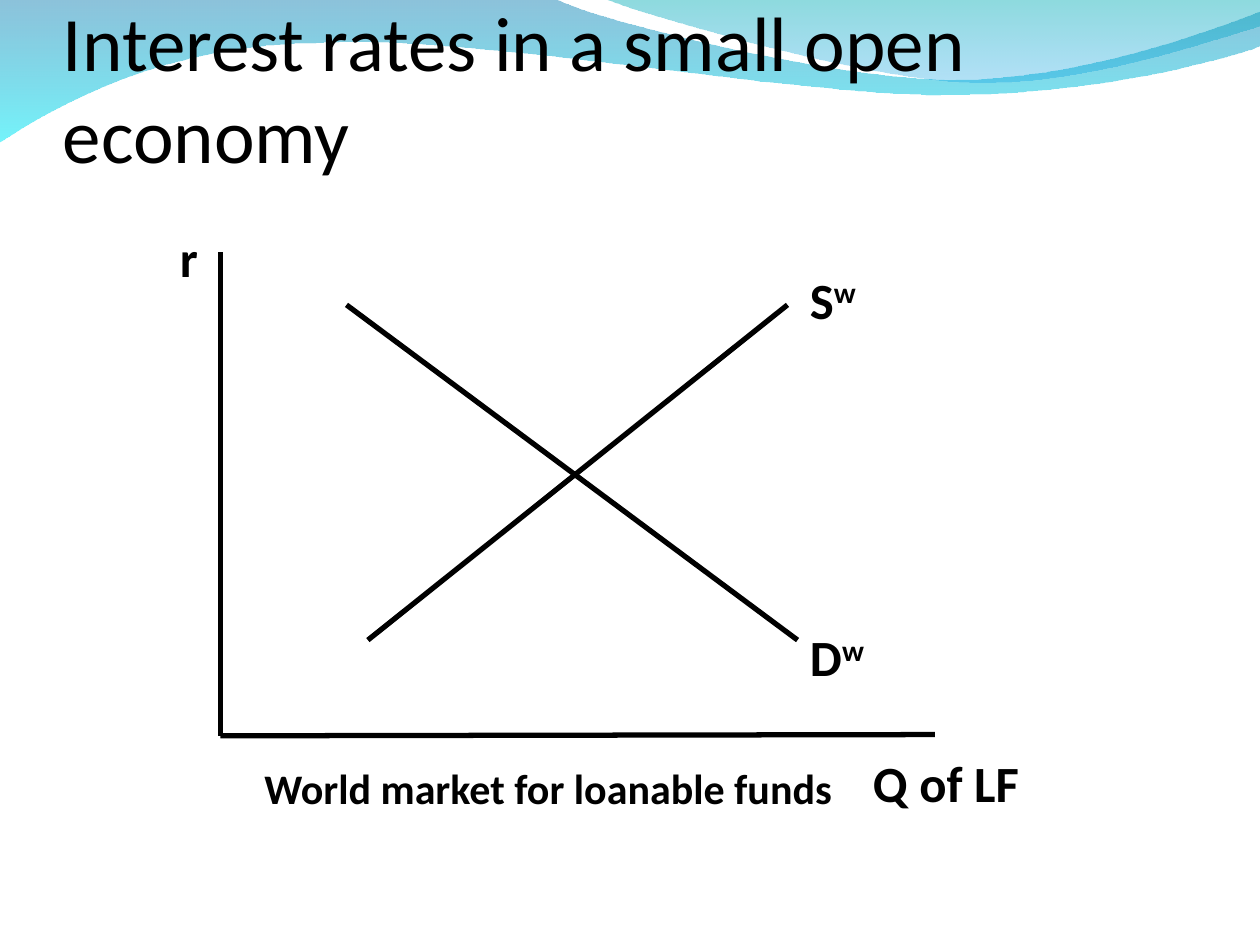
from dataclasses import dataclass

from lxml import etree
from pptx import Presentation
from pptx.dml.color import RGBColor
from pptx.enum.shapes import MSO_CONNECTOR
from pptx.enum.text import MSO_ANCHOR, MSO_AUTO_SIZE
from pptx.oxml.ns import qn
from pptx.util import Inches, Pt

STRAIGHT = MSO_CONNECTOR.STRAIGHT
BOTTOM, TOP = MSO_ANCHOR.BOTTOM, MSO_ANCHOR.TOP
FIXED, GROW = MSO_AUTO_SIZE.NONE, MSO_AUTO_SIZE.SHAPE_TO_FIT_TEXT


@dataclass(frozen=True)
class Theme:
    font: str = "Calibri"
    ink: str = "000000"
    # Gradient stops from top to bottom: colour, opacity in percent
    back_wave: tuple = (("0079AF", 45), ("00EBF8", 55))
    front_wave: tuple = (("00ADB6", 45), ("009BE5", 30))
    title_size: int = 44
    label_size: int = 29
    caption_size: int = 24
    line_width: int = 3


THEME = Theme()


def add_wave(slide, start, segments, stops):
    """Draw a closed outline; a segment is one line end or three curve points."""
    builder = slide.shapes.build_freeform(*(Inches(value) for value in start))
    builder.add_line_segments(
        [(Inches(x), Inches(y)) for segment in segments for x, y in segment],
        close=True)
    wave = builder.convert_to_shape()

    # Join each group of three points into one cubic curve
    steps = iter(list(wave._element.spPr.iter(qn("a:lnTo"))))
    for segment in segments:
        first, *others = [next(steps) for _ in segment]
        if others:
            first.addprevious(bezier := etree.Element(qn("a:cubicBezTo")))
            for step in (first, *others):
                bezier.append(step[0])
                step.getparent().remove(step)

    wave.shadow.inherit = False
    wave.line.fill.background()
    wave.fill.gradient()
    wave.fill.gradient_angle = 270
    for stop, (color, _) in zip(wave.fill.gradient_stops, stops):
        stop.color.rgb = RGBColor.from_string(color)
    colors = list(wave._element.spPr.iter(qn("a:srgbClr")))
    for color, (_, opacity) in zip(colors, stops):
        etree.SubElement(color, qn("a:alpha")).set("val", str(opacity * 1000))


def add_line(slide, start, end):
    line = slide.shapes.add_connector(
        STRAIGHT, *(Inches(value) for value in (*start, *end)))
    line.line.color.rgb = RGBColor.from_string(THEME.ink)
    line.line.width = Pt(THEME.line_width)
    etree.SubElement(line._element.spPr, qn("a:effectLst"))


def add_text(slide, box, text, size, superscript="", bold=True, anchor=TOP,
             sizing=GROW, side_inset=0.1, bottom_inset=0.05):
    frame = slide.shapes.add_textbox(*(Inches(value) for value in box)).text_frame
    frame.word_wrap = True
    frame.auto_size = sizing
    frame.vertical_anchor = anchor
    frame.margin_left = frame.margin_right = Inches(side_inset)
    frame.margin_top, frame.margin_bottom = Inches(0.05), Inches(bottom_inset)
    for content, raised in ((text, False), (superscript, True)):
        if not content:
            continue
        run = frame.paragraphs[0].add_run()
        run.text = content
        run.font.name = THEME.font
        run.font.size = Pt(size)
        run.font.bold = bold
        run.font.color.rgb = RGBColor.from_string(THEME.ink)
        if raised:
            run._r.get_or_add_rPr().set("baseline", "30000")


def main():
    prs = Presentation()
    prs.slide_width, prs.slide_height = Inches(10), Inches(7.5)
    slide = prs.slides.add_slide(prs.slide_layouts[6])

    # Decorative waves along the top edge
    add_wave(slide, (0, -0.01), (
        ((4.4, -0.01),),
        ((4.76, 0.17), (6.64, 0.63), (7.58, 0.63)),
        ((8.53, 0.63), (9.58, 0.26), (10, 0.09)),
        ((10.01, 0.36),),
        ((9.83, 0.44), (8.7, 0.76), (7.46, 0.75)),
        ((6.22, 0.75), (3.82, 0.28), (2.57, 0.34)),
        ((1.29, 0.35), (0.46, 0.83), (-0.01, 1.13)),
    ), THEME.back_wave)
    add_wave(slide, (4.79, -0.01), (
        ((5.09, 0.11), (6.82, 0.62), (7.69, 0.65)),
        ((8.56, 0.69), (9.61, 0.32), (10, 0.21)),
        ((10, 0),),
    ), THEME.front_wave)

    # Title
    add_text(slide, (0.5, 0.77, 9, 0.65), "Interest rates in a small open economy",
             THEME.title_size, bold=False, anchor=BOTTOM, sizing=FIXED,
             side_inset=0, bottom_inset=0)

    # Axes
    origin = (1.75, 5.84)
    add_line(slide, (1.75, 2), origin)
    add_line(slide, (7.42, 5.83), origin)

    # Supply and demand curves
    curve_top, curve_bottom = 2.42, 5.08
    add_line(slide, (6.25, curve_top), (2.92, curve_bottom))
    add_line(slide, (2.75, curve_top), (6.33, curve_bottom))

    # Curve and axis labels
    for box, label, superscript in (
        ((6.33, 4.92, 1.75, 0.59), "D", "w"),
        ((6.33, 2.08, 2, 0.59), "S", "w"),
        ((6.83, 5.92, 2.08, 0.59), "Q of LF", ""),
        ((1.33, 1.75, 0.42, 0.59), "r", ""),
    ):
        add_text(slide, box, label, THEME.label_size, superscript)

    # Diagram caption
    add_text(slide, (2, 6, 4.92, 0.5), "World market for loanable funds",
             THEME.caption_size)

    prs.save("out.pptx")


if __name__ == "__main__":
    main()
